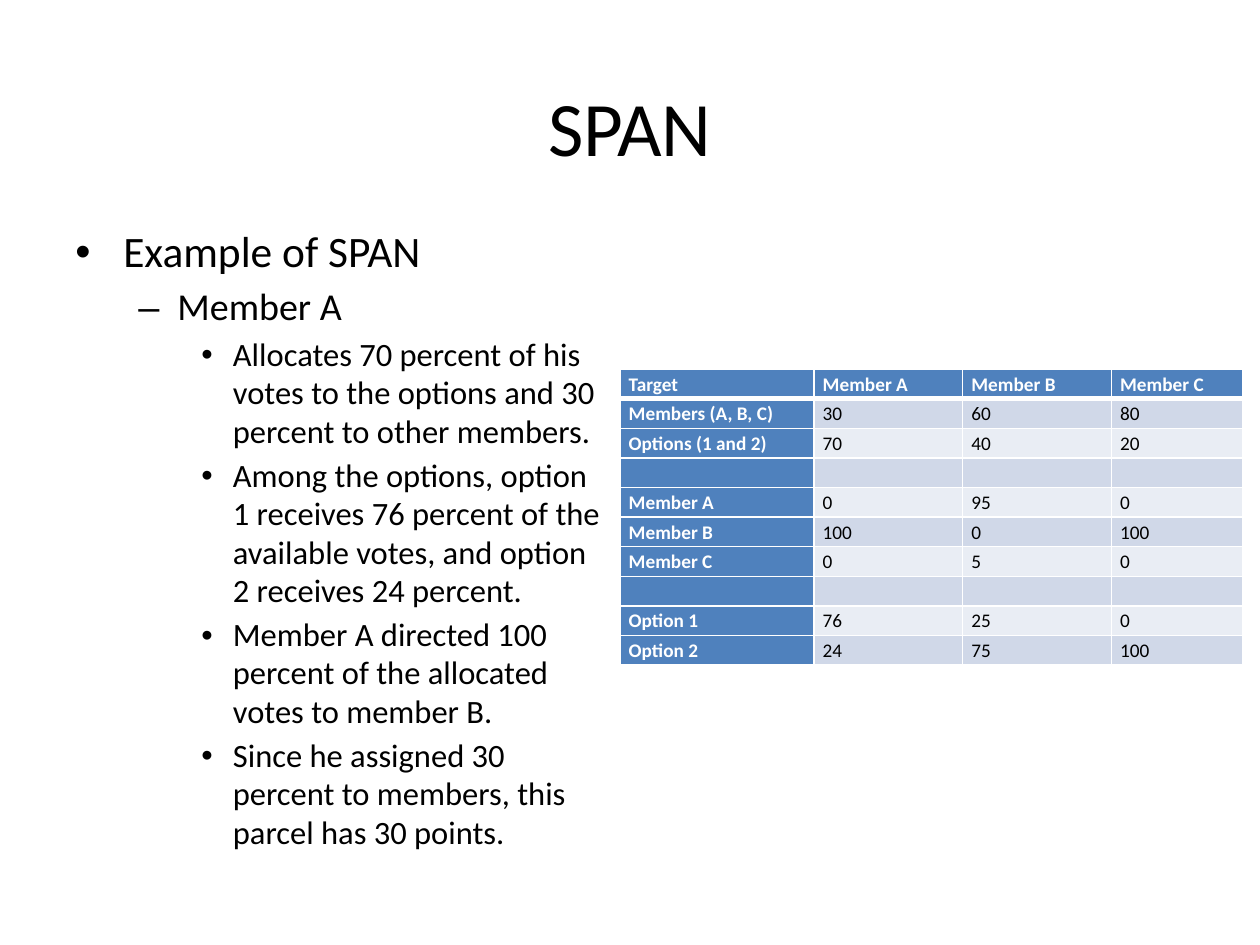
"""Build the SPAN example slide with its outline and vote table."""
import lxml.etree
import pptx
import pptx.dml.color
import pptx.enum.text
import pptx.oxml.ns
import pptx.util

BLACK = pptx.dml.color.RGBColor(0x00, 0x00, 0x00)
WHITE = pptx.dml.color.RGBColor(0xFF, 0xFF, 0xFF)
BLUE = pptx.dml.color.RGBColor(0x4F, 0x81, 0xBD)
BANDS = [pptx.dml.color.RGBColor(0xE9, 0xED, 0xF4), pptx.dml.color.RGBColor(0xD0, 0xD8, 0xE8)]

Pt = pptx.util.Pt
Inches = pptx.util.Inches
qn = pptx.oxml.ns.qn
ALIGN = pptx.enum.text.PP_ALIGN
ANCHOR = pptx.enum.text.MSO_ANCHOR

presentation = pptx.Presentation()
presentation.slide_width = Inches(10)
presentation.slide_height = Inches(7.5)
slide = presentation.slides.add_slide(presentation.slide_layouts[6])
column = presentation.slide_width / 20
row = presentation.slide_height / 20


def apply_format(target, values):
    for name, value in values.items():
        setattr(target, name, value)


def write(paragraph, text, size, color, bold, paragraph_format):
    apply_format(paragraph, paragraph_format)
    run = paragraph.add_run()
    run.text = text
    apply_format(run.font, {"name": "Calibri", "size": Pt(size), "bold": bold})
    run.font.color.rgb = color


title = slide.shapes.add_textbox(int(column), int(row), int(18 * column), int(3.33 * row))
apply_format(title.text_frame, {"word_wrap": True, "vertical_anchor": ANCHOR.MIDDLE})
write(title.text_frame.paragraphs[0], "SPAN", 44, BLACK, False, {"alignment": ALIGN.CENTER})

LEVELS = [
    {"size": 24.8, "margin": 0.38, "hanging": 0.38, "bullet": "•"},
    {"size": 21.7, "margin": 0.81, "hanging": 0.31, "bullet": "–"},
    {"size": 18.6, "margin": 1.25, "hanging": 0.25, "bullet": "•"},
]
OUTLINE = [
    (0, "Example of SPAN"),
    (1, "Member A"),
    (2, "Allocates 70 percent of his votes to the options and 30 percent to other members."),
    (2, "Among the options, option 1 receives 76 percent of the available votes, and option 2 receives 24 percent."),
    (2, "Member A directed 100 percent of the allocated votes to member B."),
    (2, "Since he assigned 30 percent to members, this parcel has 30 points."),
]
outline = slide.shapes.add_textbox(int(column), int(4.67 * row), int(8.84 * column), int(13.2 * row))
outline.text_frame.word_wrap = True
for index, (level, text) in enumerate(OUTLINE):
    style = LEVELS[level]
    paragraph = outline.text_frame.add_paragraph() if index else outline.text_frame.paragraphs[0]
    write(paragraph, text, style["size"], BLACK, False,
          {"level": level, "line_spacing": 0.98, "space_before": Pt(0.19 * style["size"])})
    properties = paragraph._p.get_or_add_pPr()
    properties.set("marL", str(Inches(style["margin"])))
    properties.set("indent", str(-Inches(style["hanging"])))
    lxml.etree.SubElement(properties, qn("a:buFont"), typeface="Arial")
    lxml.etree.SubElement(properties, qn("a:buChar"), char=style["bullet"])

VOTES = [
    ["Target", "Member A", "Member B", "Member C"],
    ["Members (A, B, C)", "30", "60", "80"],
    ["Options (1 and 2)", "70", "40", "20"],
    ["", "", "", ""],
    ["Member A", "0", "95", "0"],
    ["Member B", "100", "0", "100"],
    ["Member C", "0", "5", "0"],
    ["", "", "", ""],
    ["Option 1", "76", "25", "0"],
    ["Option 2", "24", "75", "100"],
]
COLUMN_SPANS = [3.08, 2.36, 2.36, 2.08]
CELL_FORMAT = {"margin_left": Inches(0.07), "margin_right": Inches(0.07), "margin_top": 0, "margin_bottom": 0}

table = slide.shapes.add_table(
    len(VOTES), len(COLUMN_SPANS), int(9.84 * column), int(7.81 * row),
    int(sum(COLUMN_SPANS) * column), int(6.27 * row)).table
for table_column, span in zip(table.columns, COLUMN_SPANS):
    table_column.width = int(span * column)

for row_index, values in enumerate(VOTES):
    for column_index, text in enumerate(values):
        cell = table.cell(row_index, column_index)
        heading = row_index == 0 or column_index == 0
        apply_format(cell, CELL_FORMAT)
        cell.fill.solid()
        cell.fill.fore_color.rgb = BLUE if heading else BANDS[row_index % 2]
        paragraph = cell.text_frame.paragraphs[0]
        if text:
            write(paragraph, text, 11, WHITE if heading else BLACK, heading,
                  {"alignment": ALIGN.JUSTIFY, "line_spacing": 1.15})
        else:
            lxml.etree.SubElement(paragraph._p, qn("a:endParaRPr"), sz="1100")
        thick_side = {0: "lnB", 1: "lnT"}.get(row_index)
        cell_properties = cell._tc.get_or_add_tcPr()
        for position, side in enumerate(["lnL", "lnR", "lnT", "lnB"]):
            border = lxml.etree.Element(qn("a:" + side), w=str(Pt(3 if side == thick_side else 1)))
            border_fill = lxml.etree.SubElement(border, qn("a:solidFill"))
            lxml.etree.SubElement(border_fill, qn("a:srgbClr"), val=str(WHITE))
            cell_properties.insert(position, border)

presentation.save("out.pptx")
